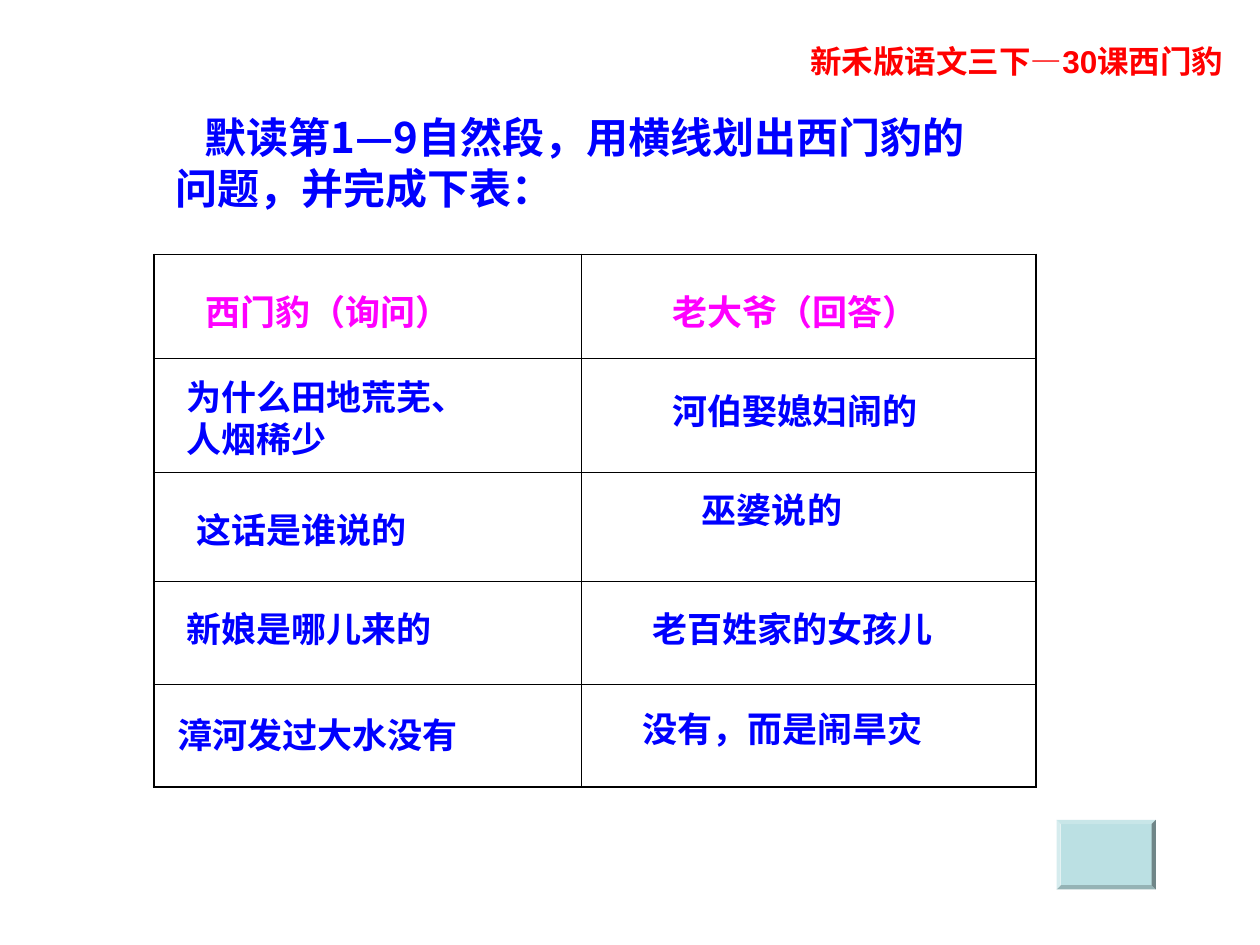
import pptx
import pptx.dml.color
import pptx.enum.shapes
import pptx.enum.text
import pptx.oxml
import pptx.oxml.ns
import pptx.util
from pptx.util import Cm

COLORS = {"question": "0000FF", "heading": "FF00FF", "lesson": "FF0000",
          "rule": "000000", "button": "BBE0E3"}
CJK_FONT = "Noto Sans CJK SC"
THICK, THIN = 1.08, 0.45

COLUMN_WIDTHS = (8.61, 9.18)
ROW_HEIGHTS = (2.09, 2.3, 2.2, 2.08, 2.06)

# Text, left, top, width, height in cm
HEADINGS = [
    ("西门豹（询问）", 3.89, 5.73, 5.46, 1.12),
    ("老大爷（回答）", 13.31, 5.73, 5.46, 1.12),
]
ENTRIES = [
    ("为什么田地荒芜、\n人烟稀少", 3.51, 7.45, 6.15, 1.96),
    ("这话是谁说的", 3.71, 10.13, 5.05, 1.12),
    ("新娘是哪儿来的", 3.51, 12.12, 5.82, 1.12),
    ("漳河发过大水没有", 3.32, 14.25, 6.5, 1.12),
    ("河伯娶媳妇闹的", 13.31, 7.72, 5.82, 1.12),
    ("巫婆说的", 13.9, 9.73, 3.68, 1.12),
    ("老百姓家的女孩儿", 12.9, 12.12, 6.5, 1.12),
    ("没有，而是闹旱灾", 12.7, 14.13, 6.5, 1.12),
]


def rgb(name):
    return pptx.dml.color.RGBColor.from_string(COLORS[name])


def set_attributes(target, values):
    for name, value in values.items():
        setattr(target, name, value)


def add_text(slide, text, left, top, width, height, color, size,
             font_name=CJK_FONT, indent=0, align=None, **frame_format):
    box = slide.shapes.add_textbox(Cm(left), Cm(top), Cm(width), Cm(height))
    frame = box.text_frame
    frame.text = text
    set_attributes(frame, frame_format)
    for paragraph in frame.paragraphs:
        paragraph.alignment = align
        if indent:
            paragraph._p.get_or_add_pPr().set("indent", str(Cm(indent)))
        for run in paragraph.runs:
            set_attributes(run.font, {"name": font_name, "bold": True,
                                      "size": pptx.util.Pt(size)})
            run.font.color.rgb = rgb(color)
            east_asian = pptx.oxml.parse_xml(
                f'<a:ea {pptx.oxml.ns.nsdecls("a")} typeface="{CJK_FONT}"/>')
            run.font._element.find(pptx.oxml.ns.qn("a:latin")).addnext(east_asian)


def set_borders(cell, widths):
    """Add cell borders; widths maps L, R, T and B to points."""
    properties = cell._tc.get_or_add_tcPr()
    for position, side in enumerate("LRTB"):
        properties.insert(position, pptx.oxml.parse_xml(
            f'<a:ln{side} {pptx.oxml.ns.nsdecls("a")} '
            f'w="{pptx.util.Pt(widths[side])}"><a:solidFill>'
            f'<a:srgbClr val="{COLORS["rule"]}"/></a:solidFill></a:ln{side}>'))


def add_grid(slide, left, top):
    rows, columns = len(ROW_HEIGHTS), len(COLUMN_WIDTHS)
    table = slide.shapes.add_table(
        rows, columns, Cm(left), Cm(top),
        Cm(sum(COLUMN_WIDTHS)), Cm(sum(ROW_HEIGHTS))).table
    set_attributes(table, {"first_row": False, "horz_banding": False})
    for column, width in zip(table.columns, COLUMN_WIDTHS):
        column.width = Cm(width)
    for row, height in zip(table.rows, ROW_HEIGHTS):
        row.height = Cm(height)
    # Thick outer frame, thin inner rules
    for r in range(rows):
        for c in range(columns):
            cell = table.cell(r, c)
            cell.fill.background()
            outer = {"L": c == 0, "R": c == columns - 1,
                     "T": r == 0, "B": r == rows - 1}
            set_borders(cell, {side: THICK if edge else THIN
                               for side, edge in outer.items()})


def add_button(slide, left, top, width, height):
    button = slide.shapes.add_shape(
        pptx.enum.shapes.MSO_SHAPE.BEVEL,
        Cm(left), Cm(top), Cm(width), Cm(height))
    button.adjustments[0] = 0.06
    button.shadow.inherit = False
    button.fill.solid()
    button.fill.fore_color.rgb = rgb("button")
    button.line.fill.background()


def main():
    presentation = pptx.Presentation()
    set_attributes(presentation, {"slide_width": Cm(25.4),
                                  "slide_height": Cm(19.05)})
    slide = presentation.slides.add_slide(presentation.slide_layouts[6])
    fit = pptx.enum.text.MSO_AUTO_SIZE.SHAPE_TO_FIT_TEXT

    # Task
    add_text(slide, "默读第1—9自然段，用横线划出西门豹的问题，并完成下表：",
             3.29, 2.13, 16.9, 2.29, "question", 24, indent=0.59,
             word_wrap=True, auto_size=fit)

    # Table of questions and answers
    add_grid(slide, 3.1, 5.13)
    for heading in HEADINGS:
        add_text(slide, *heading, "heading", 20, "Arial",
                 word_wrap=False, auto_size=fit)
    for entry in ENTRIES:
        add_text(slide, *entry, "question", 20,
                 word_wrap=False, auto_size=fit)

    # Lesson name
    add_text(slide, "新禾版语文三下—30课西门豹", 15.6, 0.53, 9.8, 1.4,
             "lesson", 18, "Arial", align=pptx.enum.text.PP_ALIGN.CENTER,
             word_wrap=True,
             vertical_anchor=pptx.enum.text.MSO_ANCHOR.MIDDLE)

    # Navigation button
    add_button(slide, 21.3, 16.53, 2, 1.4)

    presentation.save("out.pptx")


if __name__ == "__main__":
    main()
